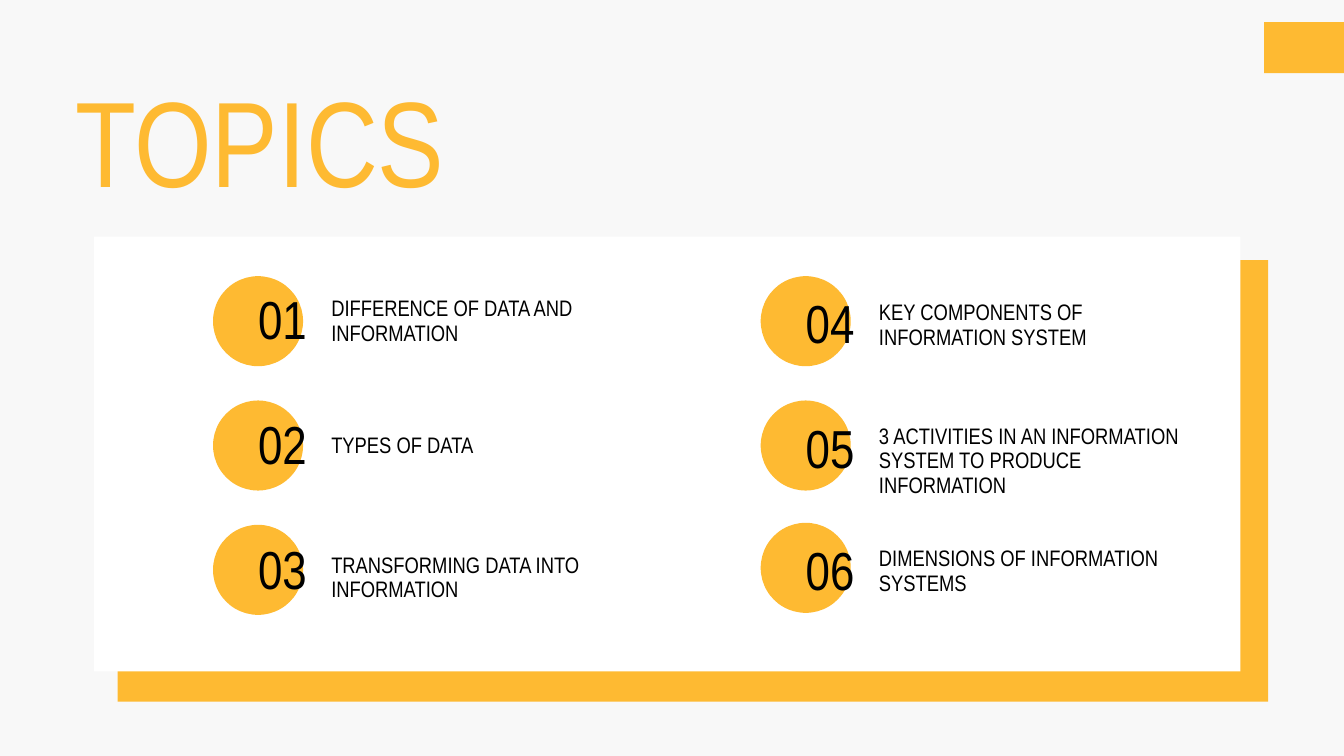
import pptx
import pptx.util
import pptx.dml.color
import pptx.enum.shapes
import pptx.enum.text

Inches, Pt = pptx.util.Inches, pptx.util.Pt
SHAPE = pptx.enum.shapes.MSO_SHAPE
COLORS = {"page": "F8F8F8", "accent": "FEBA32", "card": "FFFFFF", "text": "000000"}
FONT = "Arial Narrow"


def rgb(name):
    return pptx.dml.color.RGBColor.from_string(COLORS[name])


class Deck:
    """Holds the slide style and the current slide."""

    def __init__(self, width, height):
        self.prs = pptx.Presentation()
        self.prs.slide_width, self.prs.slide_height = Inches(width), Inches(height)
        self.s = None

    def add_slide(self):
        self.s = self.prs.slides.add_slide(self.prs.slide_layouts[5])
        fill = self.s.background.fill
        fill.solid()
        fill.fore_color.rgb = rgb("page")

    def shape(self, kind, x, y, w, h, color):
        sp = self.s.shapes.add_shape(kind, Inches(x), Inches(y), Inches(w), Inches(h))
        sp.shadow.inherit = False
        sp.fill.solid()
        sp.fill.fore_color.rgb = rgb(color)
        sp.line.fill.background()

    def fill_text(self, sp, text, size, spacing, color):
        tf = sp.text_frame
        tf.margin_left = tf.margin_top = tf.margin_right = tf.margin_bottom = 0
        tf.word_wrap = True
        tf.auto_size = pptx.enum.text.MSO_AUTO_SIZE.NONE
        tf.vertical_anchor = pptx.enum.text.MSO_ANCHOR.TOP
        p = tf.paragraphs[0]
        p.alignment = pptx.enum.text.PP_ALIGN.LEFT
        p.line_spacing = Pt(spacing)
        p.space_before = Pt(0)
        r = p.add_run()
        r.text = text
        r.font.name, r.font.size = FONT, Pt(size)
        r.font.color.rgb = rgb(color)

    def title(self, text, x, y, w, h):
        sp = self.s.shapes.title
        sp.left, sp.top, sp.width, sp.height = Inches(x), Inches(y), Inches(w), Inches(h)
        self.fill_text(sp, text, 130.2, 126.3, "accent")

    def text(self, text, x, y, w, h, size, spacing):
        sp = self.s.shapes.add_textbox(Inches(x), Inches(y), Inches(w), Inches(h))
        self.fill_text(sp, text, size, spacing, "text")

    def topic(self, number, label, x, tops, width, height):
        circle_y, number_y, label_y = tops
        self.shape(SHAPE.OVAL, x, circle_y, 1.34, 1.34, "accent")
        self.text(f"{number:02d}", x + 0.67, number_y, 1.28, 0.9, 57.3, 63)
        self.text(label, x + 1.76, label_y, width, height, 24, 26.4)


# Column x, then per topic: label, tops of (circle, number, label), label width and height
COLUMNS = [
    (3.17, [
        ("DIFFERENCE OF DATA AND INFORMATION", (4.11, 4.34, 4.41), 4.9, 0.74),
        ("TYPES OF DATA", (5.96, 6.2, 6.45), 3.88, 0.38),
        ("TRANSFORMING DATA INTO INFORMATION", (7.81, 8.05, 8.23), 3.88, 0.74),
    ]),
    (11.32, [
        ("KEY COMPONENTS OF INFORMATION SYSTEM", (4.11, 4.4, 4.47), 4.84, 0.74),
        ("3 ACTIVITIES IN AN INFORMATION SYSTEM TO PRODUCE INFORMATION",
         (5.96, 6.26, 6.31), 4.62, 1.1),
        ("DIMENSIONS OF INFORMATION SYSTEMS", (7.78, 8.07, 8.13), 4.62, 0.74),
    ]),
]


def main():
    deck = Deck(20, 11.25)
    deck.add_slide()

    # Card with its offset backing, and the corner tab
    deck.shape(SHAPE.RECTANGLE, 1.75, 3.87, 17.12, 6.57, "accent")
    deck.shape(SHAPE.RECTANGLE, 18.81, 0.33, 1.19, 0.76, "accent")
    deck.shape(SHAPE.RECTANGLE, 1.4, 3.52, 17.06, 6.47, "card")

    # Title
    deck.title("TOPICS", 1.12, 1.4, 8.7, 1.86)

    # Numbered topics, counted down each column
    number = 1
    for x, topics in COLUMNS:
        for label, tops, width, height in topics:
            deck.topic(number, label, x, tops, width, height)
            number += 1

    deck.prs.save("out.pptx")


if __name__ == "__main__":
    main()
